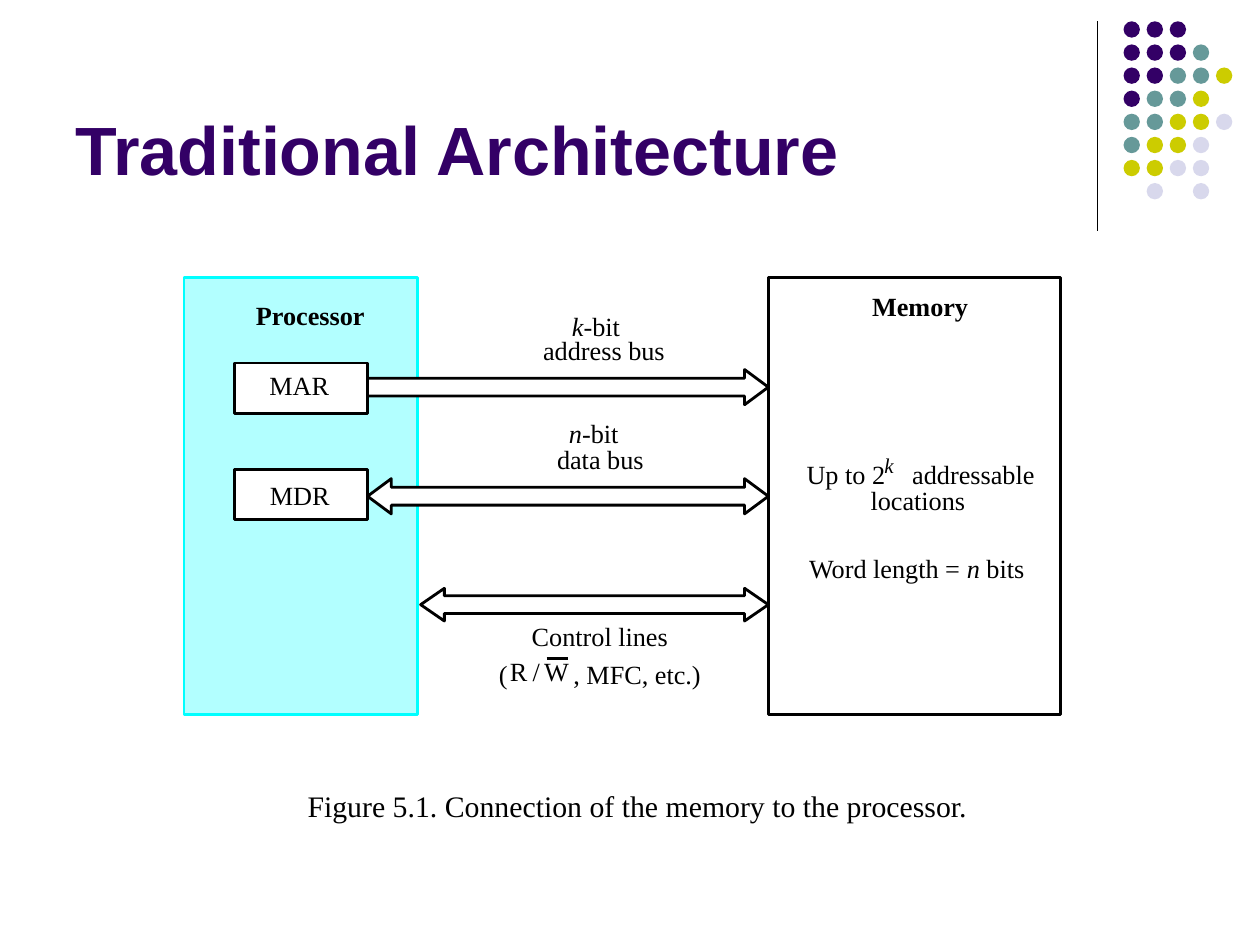
from lxml import etree
from pptx import Presentation
from pptx import util as u
from pptx.dml.color import RGBColor
from pptx.enum import shapes, text
from pptx.oxml.ns import qn

THEME = {
    "ink": "000000", "paper": "FFFFFF", "title": "330066",
    "panel": "B2FFFF", "panel_edge": "00FFFF",
    "dots": {"P": "330066", "T": "669999", "Y": "CCCC00", "L": "D8D8EC"},
    "heading_font": "Arial", "body_font": "Times New Roman",
    "title_size": 39, "caption_size": 17, "body_size": 15, "small_size": 12,
    "line": 1.62, "thin_line": 0.75,
}

# Content; all lengths are in centimetres
DOT_ROWS = ["PPP", "PPPT", "PPTTY", "PTTY", "TTYYL", "TYYL", "YYLL", " L L"]
DOT_LEFT, DOT_TOP, DOT_SIZE, DOT_SPAN = 22.65, 0.43, 0.33, 3.26
DOT_PITCH = DOT_SPAN / (len(DOT_ROWS) - 1)

TITLE = "Traditional Architecture"
PANEL_TOP, PANEL_HEIGHT = 5.6, 8.81
PROCESSOR_LEFT, PROCESSOR_WIDTH = 3.71, 4.7
MEMORY_LEFT, MEMORY_WIDTH = 15.49, 5.89
REGISTER_LEFT, REGISTER_WIDTH, REGISTER_HEIGHT = 4.72, 2.69, 1.02
REGISTER_TOPS = [7.32, 9.46]

# left, top, height, double-headed
BUSES = [(7.41, 7.45, 0.71, False), (7.41, 9.65, 0.71, True), (8.48, 11.86, 0.66, True)]
SHAFT, HEAD = 0.36, 0.48

# left, top, width, runs (a leading * marks italics), format
LABELS = [
    (5.16, 6.04, 2.25, ["Processor"], {"bold": True}),
    (17.58, 5.86, 2.05, ["Memory"], {"bold": True}),
    (5.43, 7.44, 1.3, ["MAR"], {}),
    (5.44, 9.67, 1.3, ["MDR"], {}),
    (11.53, 6.26, 1.05, ["*k", "-bit"], {}),
    (10.95, 6.73, 2.55, ["address bus"], {}),
    (11.47, 8.41, 1.1, ["*n", "-bit"], {}),
    (11.23, 8.94, 1.85, ["data bus"], {}),
    (10.72, 12.5, 2.9, ["Control lines"], {}),
    (10.06, 13.28, 0.2, ["("], {}),
    (10.28, 13.21, 0.38, ["R"], {}),
    (10.74, 13.21, 0.17, ["/"], {}),
    (10.97, 13.21, 0.53, ["W"], {}),
    (11.56, 13.28, 2.75, [", MFC, etc.)"], {}),
    (16.26, 9.24, 1.7, ["Up to 2"], {}),
    (17.83, 9.12, 0.21, ["*k"], {"size": THEME["small_size"]}),
    (18.39, 9.24, 2.65, ["addressable"], {}),
    (17.55, 9.77, 2.05, ["locations"], {}),
    (16.31, 11.14, 4.5, ["Word length = ", "*n", " bits"], {}),
    (6.2, 15.88, 13.4, ["Figure 5.1. Connection of the memory to the processor."],
     {"size": THEME["caption_size"]}),
]

presentation = Presentation()
presentation.slide_width, presentation.slide_height = u.Cm(25.4), u.Cm(19.05)
slide = presentation.slides.add_slide(presentation.slide_layouts[6])


def add_text(runs, left, top, width, height=None, size=THEME["body_size"],
             font=THEME["body_font"], color=THEME["ink"], bold=False,
             inset=0, wrap=False, anchor=text.MSO_ANCHOR.TOP):
    height = height or round(size * 0.0425, 2)
    box = slide.shapes.add_textbox(*map(u.Cm, (left, top, width, height)))
    frame = box.text_frame
    frame.margin_left = frame.margin_right = u.Cm(inset)
    frame.margin_top = frame.margin_bottom = u.Cm(inset / 2)
    frame.word_wrap, frame.vertical_anchor = wrap, anchor
    frame.auto_size = text.MSO_AUTO_SIZE.NONE if wrap else text.MSO_AUTO_SIZE.SHAPE_TO_FIT_TEXT
    paragraph = frame.paragraphs[0]
    for content in runs:
        run = paragraph.add_run()
        run.text = content.removeprefix("*")
        run.font.name, run.font.size = font, u.Pt(size)
        run.font.bold, run.font.italic = bold, content.startswith("*")
        run.font.color.rgb = RGBColor.from_string(color)


def add_block(kind, left, top, width, height, fill, edge=None):
    shape = slide.shapes.add_shape(kind, *map(u.Cm, (left, top, width, height)))
    shape.shadow.inherit = False
    shape.fill.solid()
    shape.fill.fore_color.rgb = RGBColor.from_string(fill)
    if edge:
        shape.line.color.rgb = RGBColor.from_string(edge)
        shape.line.width = u.Pt(THEME["line"])
    else:
        shape.line.fill.background()
    return shape


def add_line(x1, y1, x2, y2, width):
    line = slide.shapes.add_connector(shapes.MSO_CONNECTOR.STRAIGHT,
                                      *map(u.Cm, (x1, y1, x2, y2)))
    line.line.color.rgb = RGBColor.from_string(THEME["ink"])
    line.line.width = u.Pt(width)
    etree.SubElement(line._element.spPr, qn("a:effectLst"))


# Corner decoration
add_line(22.12, 0.43, 22.12, 4.65, THEME["thin_line"])
for row, pattern in enumerate(DOT_ROWS):
    for column, key in enumerate(pattern):
        if key != " ":
            add_block(shapes.MSO_SHAPE.OVAL, DOT_LEFT + column * DOT_PITCH,
                      DOT_TOP + row * DOT_PITCH, DOT_SIZE, DOT_SIZE, THEME["dots"][key])

# Title
add_text([TITLE], 1.27, 0.33, 20.95, 3.61, size=THEME["title_size"],
         font=THEME["heading_font"], color=THEME["title"], bold=True,
         inset=0.25, wrap=True, anchor=text.MSO_ANCHOR.BOTTOM)

# Processor and memory
rectangle = shapes.MSO_SHAPE.RECTANGLE
add_block(rectangle, PROCESSOR_LEFT, PANEL_TOP, PROCESSOR_WIDTH, PANEL_HEIGHT,
          THEME["panel"], THEME["panel_edge"])
add_block(rectangle, MEMORY_LEFT, PANEL_TOP, MEMORY_WIDTH, PANEL_HEIGHT,
          THEME["paper"], THEME["ink"])

# Buses ending at the memory
for left, top, height, double in BUSES:
    kind = shapes.MSO_SHAPE.LEFT_RIGHT_ARROW if double else shapes.MSO_SHAPE.RIGHT_ARROW
    arrow = add_block(kind, left, top, MEMORY_LEFT - left, height, THEME["paper"], THEME["ink"])
    arrow.adjustments[0] = SHAFT / height
    arrow.adjustments[1] = HEAD / height

# Registers, over the bus ends
for register_top in REGISTER_TOPS:
    add_block(rectangle, REGISTER_LEFT, register_top, REGISTER_WIDTH, REGISTER_HEIGHT,
              THEME["paper"], THEME["ink"])

# Labels and the bar over W
for left, top, width, runs, style in LABELS:
    add_text(runs, left, top, width, **style)
add_line(11.02, 13.28, 11.46, 13.28, THEME["line"])

presentation.save("out.pptx")
